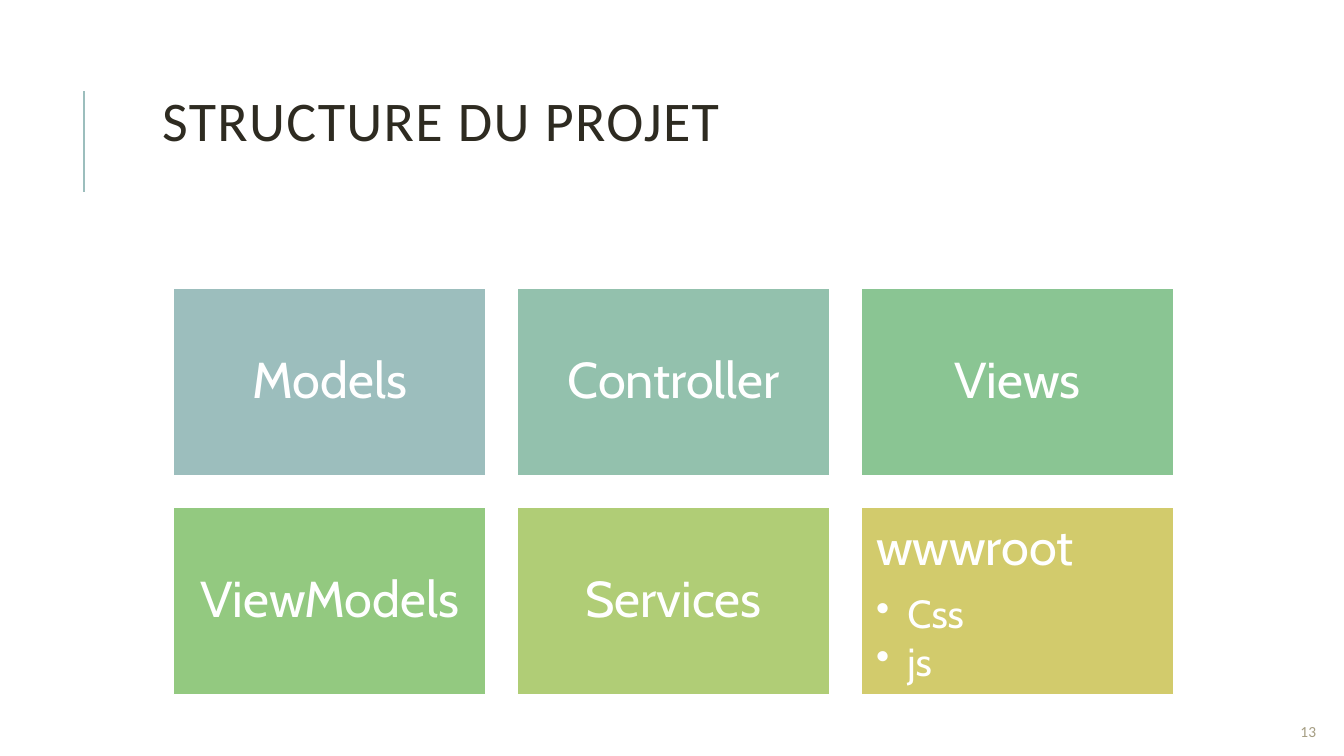
import pptx
import pptx.dml.color
import pptx.enum.shapes
import pptx.enum.text
import pptx.oxml.ns
import pptx.util
from lxml import etree

Inches = pptx.util.Inches
Pt = pptx.util.Pt
RGBColor = pptx.dml.color.RGBColor
Align = pptx.enum.text.PP_ALIGN
Anchor = pptx.enum.text.MSO_ANCHOR

WHITE = RGBColor(0xFF, 0xFF, 0xFF)
DARK = RGBColor(0x2E, 0x2B, 0x21)
MUTED = RGBColor(0xA5, 0x9D, 0x82)
BLUE = RGBColor(0x9C, 0xBE, 0xBD)
TEAL = RGBColor(0x93, 0xC1, 0xAD)
MINT = RGBColor(0x8A, 0xC5, 0x93)
GREEN = RGBColor(0x93, 0xC9, 0x80)
LIME = RGBColor(0xB0, 0xCD, 0x76)
GOLD = RGBColor(0xD2, 0xCB, 0x6C)

TILES = [
    ("Models", BLUE, []),
    ("Controller", TEAL, []),
    ("Views", MINT, []),
    ("ViewModels", GREEN, []),
    ("Services", LIME, []),
    ("wwwroot", GOLD, ["Css", "js"]),
]


def add_run(para, text, size, font, color):
    """Add one styled run to a paragraph and return it."""
    run = para.add_run()
    run.text = text
    run.font.size = Pt(size)
    run.font.name = font
    run.font.color.rgb = color
    return run


def add_text(slide, left, top, width, height):
    """Add a wrapping, middle-anchored text box and return its first paragraph."""
    box = slide.shapes.add_textbox(Inches(left), Inches(top), Inches(width), Inches(height))
    frame = box.text_frame
    frame.word_wrap = True
    frame.vertical_anchor = Anchor.MIDDLE
    return frame.paragraphs[0]


def add_rule(slide, left, top, height):
    """Draw the vertical accent line beside the title."""
    line = slide.shapes.add_connector(
        pptx.enum.shapes.MSO_CONNECTOR.STRAIGHT,
        Inches(left), Inches(top + height), Inches(left), Inches(top))
    line.line.color.rgb = BLUE
    line.line.width = Pt(1.5)
    etree.SubElement(line._element.spPr, pptx.oxml.ns.qn("a:effectLst"))


def add_title(slide, left, top, width, height):
    """Write the slide title with spaced letters."""
    para = add_text(slide, left, top, width, height)
    para.line_spacing = 0.8
    run = add_run(para, "STRUCTURE DU PROJET", 40, "Calibri", DARK)
    run.font._element.set("spc", "100")


def add_bullet(para):
    """Give a paragraph a round bullet with a hanging indent."""
    props = para._p.get_or_add_pPr()
    props.set("marL", str(Inches(0.31)))
    props.set("indent", str(-Inches(0.31)))
    mark = etree.SubElement(props, pptx.oxml.ns.qn("a:buChar"))
    mark.set("char", "•")


def add_tile(slide, left, top, width, height, name, color, items):
    """Draw one coloured tile with its name and any bulleted items."""
    tile = slide.shapes.add_shape(
        pptx.enum.shapes.MSO_SHAPE.RECTANGLE,
        Inches(left), Inches(top), Inches(width), Inches(height))
    tile.shadow.inherit = False
    tile.fill.solid()
    tile.fill.fore_color.rgb = color
    tile.line.color.rgb = WHITE
    tile.line.width = Pt(1.25)
    frame = tile.text_frame
    frame.word_wrap = True
    frame.margin_left = frame.margin_right = Inches(0.15)
    frame.margin_top = frame.margin_bottom = Inches(0.15)
    frame.vertical_anchor = Anchor.TOP if items else Anchor.MIDDLE
    head = frame.paragraphs[0]
    head.alignment = Align.LEFT if items else Align.CENTER
    head.line_spacing = 0.9
    head.space_after = Pt(12.6)
    add_run(head, name, 36, "Cabin", WHITE)
    for item in items:
        para = frame.add_paragraph()
        para.level = 1
        para.alignment = Align.LEFT
        para.line_spacing = 0.9
        para.space_after = Pt(4.2)
        add_bullet(para)
        add_run(para, item, 28, "Cabin", WHITE)


def add_grid(slide, left, top, width, height):
    """Lay the tiles out in three columns and two rows."""
    cols, rows, gap = 3, 2, 0.31
    wide = (width - gap * (cols - 1)) / cols
    high = (height - gap * (rows - 1)) / rows
    for index, (name, color, items) in enumerate(TILES):
        row, col = divmod(index, cols)
        add_tile(slide, left + col * (wide + gap), top + row * (high + gap),
                 wide, high, name, color, items)


def add_number(slide, left, top, width, height):
    """Write the page number."""
    para = add_text(slide, left, top, width, height)
    add_run(para, "13", 11, "Calibri", MUTED)


def main():
    """Build the slide and save it."""
    deck = pptx.Presentation()
    deck.slide_width = Inches(13.33)
    deck.slide_height = Inches(7.5)
    slide = deck.slides.add_slide(deck.slide_layouts[6])
    add_rule(slide, 0.83, 0.9, 1)
    add_title(slide, 1.51, 0.38, 10.63, 1.72)
    add_grid(slide, 1.72, 2.86, 9.92, 4.03)
    add_number(slide, 12.8, 7.06, 0.49, 0.4)
    deck.save("out.pptx")


if __name__ == "__main__":
    main()
